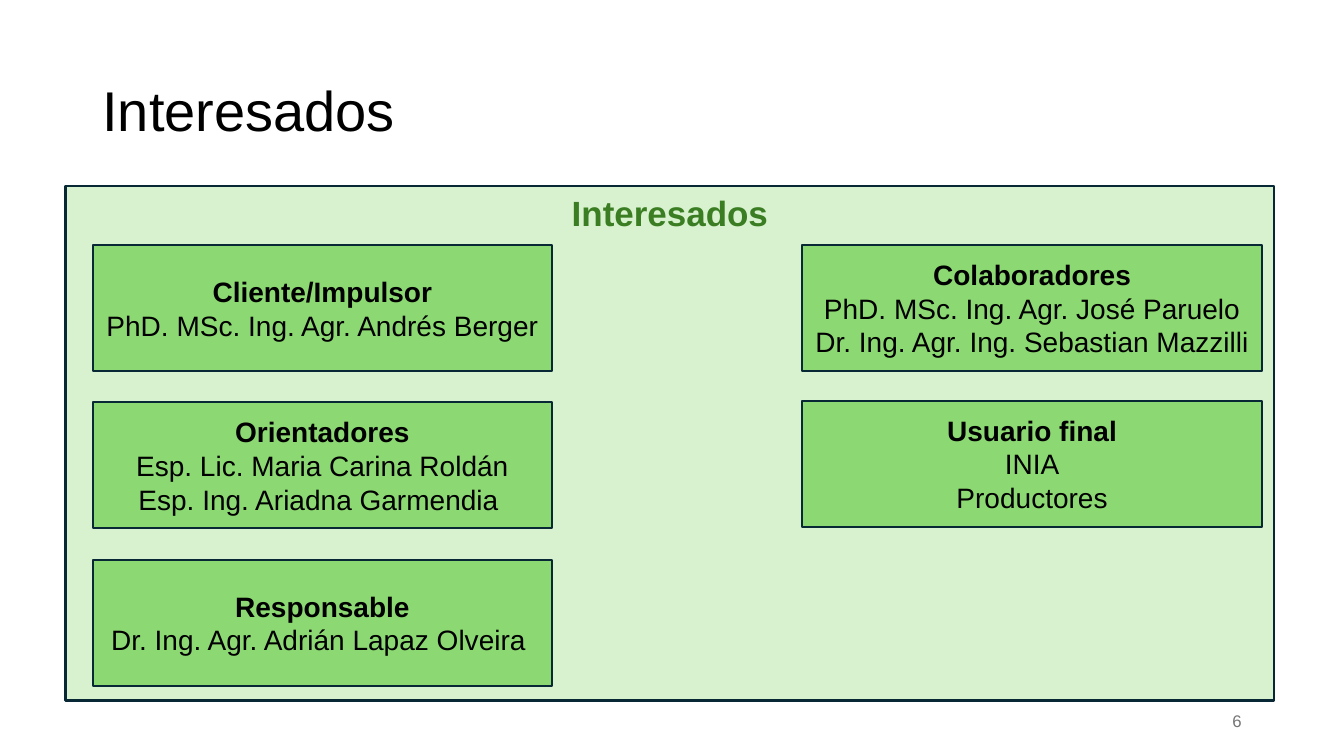
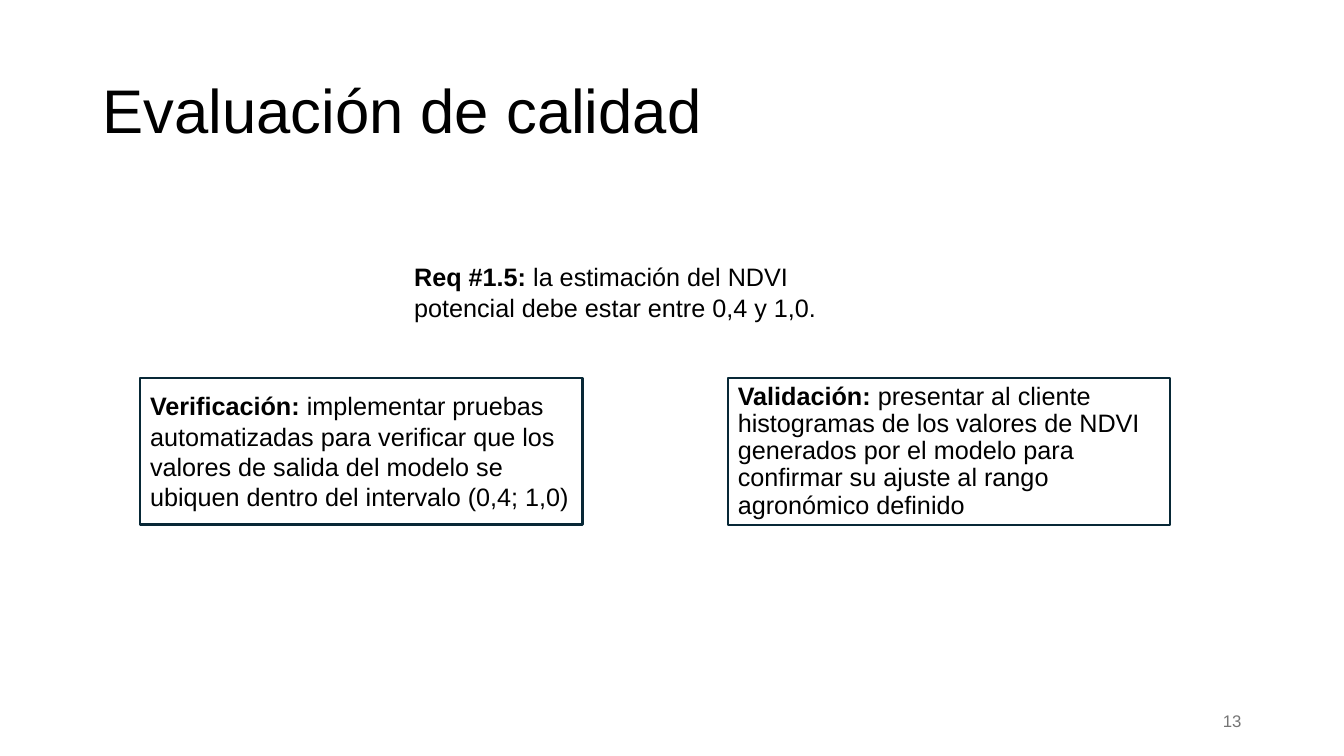
"""Build the stakeholder and quality assessment slides."""
from pptx import Presentation
from pptx.dml.color import RGBColor
from pptx.enum.shapes import MSO_SHAPE as Shape
from pptx.enum.text import MSO_ANCHOR as Anchor, MSO_AUTO_SIZE as AutoSize, PP_ALIGN as Align
from pptx.oxml.ns import qn
from pptx.util import Pt

FONT = "Arial"
BLACK, WHITE, GRAY = "000000", "FFFFFF", "757575"
EDGE, PANEL, CARD, HEADING = "082836", "D8F2CF", "8CD872", "3A7D22"
TITLE_AREA = (66, 28.8, 828, 104.4)
NUMBER_AREA = (678, 500.4, 216, 28.8)

PANEL_AREA = (46.8, 133.2, 863.3, 367.2)
CARD_TOP, CARD_WIDTH, CARD_HEIGHT = 175, 328.3, 90
COLUMNS = [
    {"left": 66.2, "pitch": 112.4, "cards": [
        ("Cliente/Impulsor", ["PhD. MSc. Ing. Agr. Andrés Berger"]),
        ("Orientadores", ["Esp. Lic. Maria Carina Roldán", "Esp. Ing. Ariadna Garmendia "]),
        ("Responsable", ["Dr. Ing. Agr. Adrián Lapaz Olveira "]),
    ]},
    {"left": 573.1, "pitch": 111.2, "cards": [
        ("Colaboradores", ["PhD. MSc. Ing. Agr. José Paruelo",
                           "Dr. Ing. Agr. Ing. Sebastian Mazzilli"]),
        ("Usuario final", ["INIA", "Productores"]),
    ]},
]

REQUIREMENT = ((288.7, 161.3, 334, 94.3), None, [
    ("Req #1.5: ", True),
    ("la estimación del NDVI potencial debe estar entre 0,4 y 1,0.", False)])
VERIFICATION = ((100.1, 270, 316, 104.7), EDGE, [
    ("Verificación: ", True),
    ("implementar pruebas automatizadas para verificar que los valores de salida "
     "del modelo se ubiquen dentro del intervalo (0,4; 1,0)", False)])
VALIDATION_AREA = (519.8, 270, 316, 105.1)
VALIDATION = [
    ("Validación:", True),
    (" presentar al cliente histogramas de los valores de NDVI generados por el modelo "
     "para confirmar su ajuste al rango agronómico definido", False)]


def color(value):
    return RGBColor.from_string(value)


def place(box, area):
    box.left, box.top, box.width, box.height = map(Pt, area)


def paint(box, fill, line):
    box.fill.solid()
    box.fill.fore_color.rgb = color(fill)
    if line:
        box.line.color.rgb = color(line)
        box.line.width = Pt(1.5)
    else:
        box.line.fill.background()


def write(box, paragraphs, size, ink=BLACK, align=Align.LEFT, anchor=Anchor.MIDDLE, spacing=1.0):
    frame = box.text_frame
    frame.word_wrap = True
    frame.auto_size = AutoSize.NONE
    frame.vertical_anchor = anchor
    for index, spans in enumerate(paragraphs):
        para = frame.add_paragraph() if index else frame.paragraphs[0]
        para.alignment = align
        para.line_spacing = spacing
        para.space_before = Pt(0)
        for text, bold in spans:
            span = para.add_run()
            span.text = text
            span.font.name = FONT
            span.font.size = Pt(size)
            span.font.bold = bold
            span.font.color.rgb = color(ink)


def add_box(page, area, fill, line):
    box = page.shapes.add_shape(Shape.RECTANGLE, *map(Pt, area))
    box.shadow.inherit = False
    paint(box, fill, line)
    return box


def add_page(deck, layout, title, title_size, number):
    page = deck.slides.add_slide(deck.slide_layouts[layout])
    place(page.shapes.title, TITLE_AREA)
    write(page.shapes.title, [[(title, False)]], title_size, spacing=0.9)
    box = page.shapes.add_textbox(*map(Pt, NUMBER_AREA))
    write(box, [[(number, False)]], 12, GRAY, Align.RIGHT)
    return page


def build_stakeholders(deck):
    page = add_page(deck, 5, "Interesados", 40, "6")
    panel = add_box(page, PANEL_AREA, PANEL, EDGE)
    write(panel, [[("Interesados", True)]], 25, HEADING, Align.CENTER, Anchor.TOP)
    for column in COLUMNS:
        for row, (role, people) in enumerate(column["cards"]):
            top = CARD_TOP + row * column["pitch"]
            card = add_box(page, (column["left"], top, CARD_WIDTH, CARD_HEIGHT), CARD, EDGE)
            paragraphs = [[(role, True)]] + [[(person, False)] for person in people]
            write(card, paragraphs, 20, align=Align.CENTER)


def build_quality(deck):
    page = add_page(deck, 1, "Evaluación de calidad", 44, "13")
    for area, line, spans in (VERIFICATION, REQUIREMENT):
        write(add_box(page, area, WHITE, line), [spans], 18)
    body = page.placeholders[1]
    place(body, VALIDATION_AREA)
    paint(body, WHITE, EDGE)
    properties = body.text_frame.paragraphs[0]._p.get_or_add_pPr()
    properties.set("marL", "0")
    properties.set("indent", "0")
    properties.append(properties.makeelement(qn("a:buNone"), {}))
    write(body, [VALIDATION], 18, spacing=0.9)


def main():
    deck = Presentation()
    deck.slide_width, deck.slide_height = Pt(960), Pt(540)
    build_stakeholders(deck)
    build_quality(deck)
    deck.save("out.pptx")


if __name__ == "__main__":
    main()
